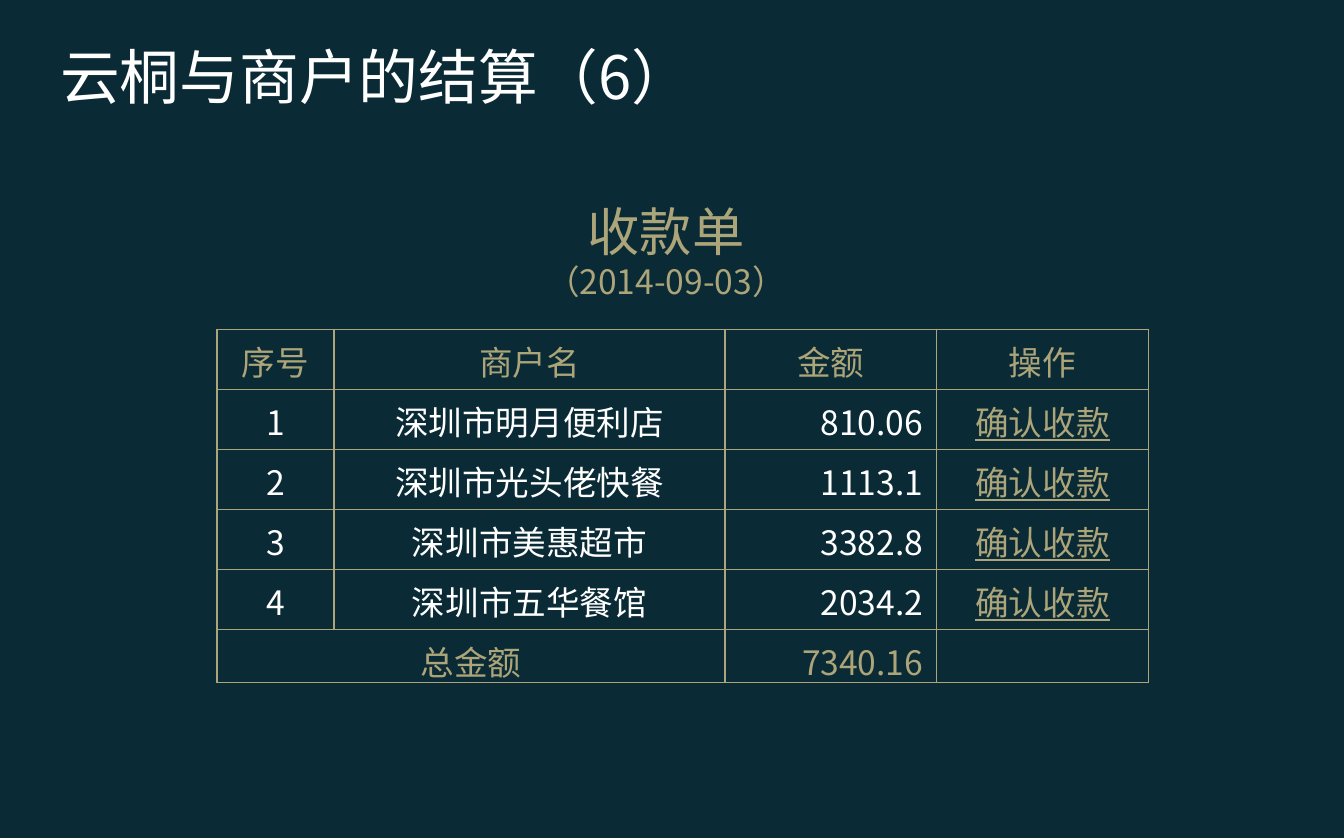
from lxml import etree
from pptx import Presentation, util as u
from pptx.dml.color import RGBColor
from pptx.enum import text
from pptx.oxml.ns import qn

THEME = {
    "background": "0A2B35", "gold": "ADA57A", "white": "FFFFFF",
    "font": "Noto Sans CJK TC", "title": 32, "heading": 28, "body": 18,
}
LEFT, CENTER, RIGHT = text.PP_ALIGN.LEFT, text.PP_ALIGN.CENTER, text.PP_ALIGN.RIGHT

deck = Presentation()
deck.slide_width, deck.slide_height = u.Pt(720), u.Pt(449)
W, H = deck.slide_width, deck.slide_height
slide = deck.slides.add_slide(deck.slide_layouts[6])
slide.background.fill.solid()
slide.background.fill.fore_color.rgb = RGBColor.from_string(THEME["background"])


def write(paragraph, words, size="body", color="gold", align=CENTER, underline=False, spacing=None):
    paragraph.alignment = align
    paragraph.line_spacing = spacing
    run = paragraph.add_run()
    run.text = words
    run.font.size = u.Pt(THEME[size])
    run.font.name = THEME["font"]
    run.font.underline = underline
    run.font.color.rgb = RGBColor.from_string(THEME[color])
    etree.SubElement(run._r.get_or_add_rPr(), qn("a:ea"), typeface=THEME["font"])


def outline(cell):
    properties = cell._tc.get_or_add_tcPr()
    for place, side in enumerate(("lnL", "lnR", "lnT", "lnB")):
        line = etree.Element(qn(f"a:{side}"), w=str(u.Pt(1)))
        fill = etree.SubElement(line, qn("a:solidFill"))
        etree.SubElement(fill, qn("a:srgbClr"), val=THEME["gold"])
        properties.insert(place, line)


# Slide title
title = slide.shapes.add_textbox(int(W * 0.035), int(H * 0.045), int(W * 0.866), int(H * 0.103)).text_frame
title.word_wrap = True
write(title.paragraphs[0], "云桐与商户的结算（6）", size="title", color="white", align=LEFT, spacing=0.97)

# Receipt table
merchants = [("深圳市明月便利店", "810.06"), ("深圳市光头佬快餐", "1113.1"),
             ("深圳市美惠超市", "3382.8"), ("深圳市五华餐馆", "2034.2")]
receipt = [("序号", "商户名", "金额", "操作")]
receipt += [(str(n), name, amount, "确认收款") for n, (name, amount) in enumerate(merchants, 1)]
receipt += [("总金额", "", "7340.16", "")]
column_shares = [0.087, 0.291, 0.1575, 0.1575]
row_shares = [0.0716] * 5 + [0.0635]
last = len(receipt) - 1

table = slide.shapes.add_table(len(receipt), len(column_shares), int(W * 0.1615), int(H * 0.393),
                               int(W * sum(column_shares)), int(H * sum(row_shares))).table
table.first_row = table.horz_banding = False
for column, share in zip(table.columns, column_shares):
    column.width = int(W * share)
for row, share in zip(table.rows, row_shares):
    row.height = int(H * share)

for r, values in enumerate(receipt):
    for c, value in enumerate(values):
        cell = table.cell(r, c)
        cell.margin_top, cell.margin_bottom = u.Inches(0.05), 0
        cell.fill.background()
        outline(cell)
        if value:
            plain = 0 < r < last and c < 3
            write(cell.text_frame.paragraphs[0], value,
                  color="white" if plain else "gold",
                  align=RIGHT if c == 2 and r > 0 else CENTER,
                  underline=c == 3 and r > 0)
table.cell(last, 0).merge(table.cell(last, 1))

# Receipt heading and date
heading = slide.shapes.add_textbox(int(W * 0.287), int(H * 0.234), int(W * 0.417), int(H * 0.141)).text_frame
heading.word_wrap = True
write(heading.paragraphs[0], "收款单", size="heading", spacing=0.97)
write(heading.add_paragraph(), "（2014-09-03）", spacing=0.97)

deck.save("out.pptx")
